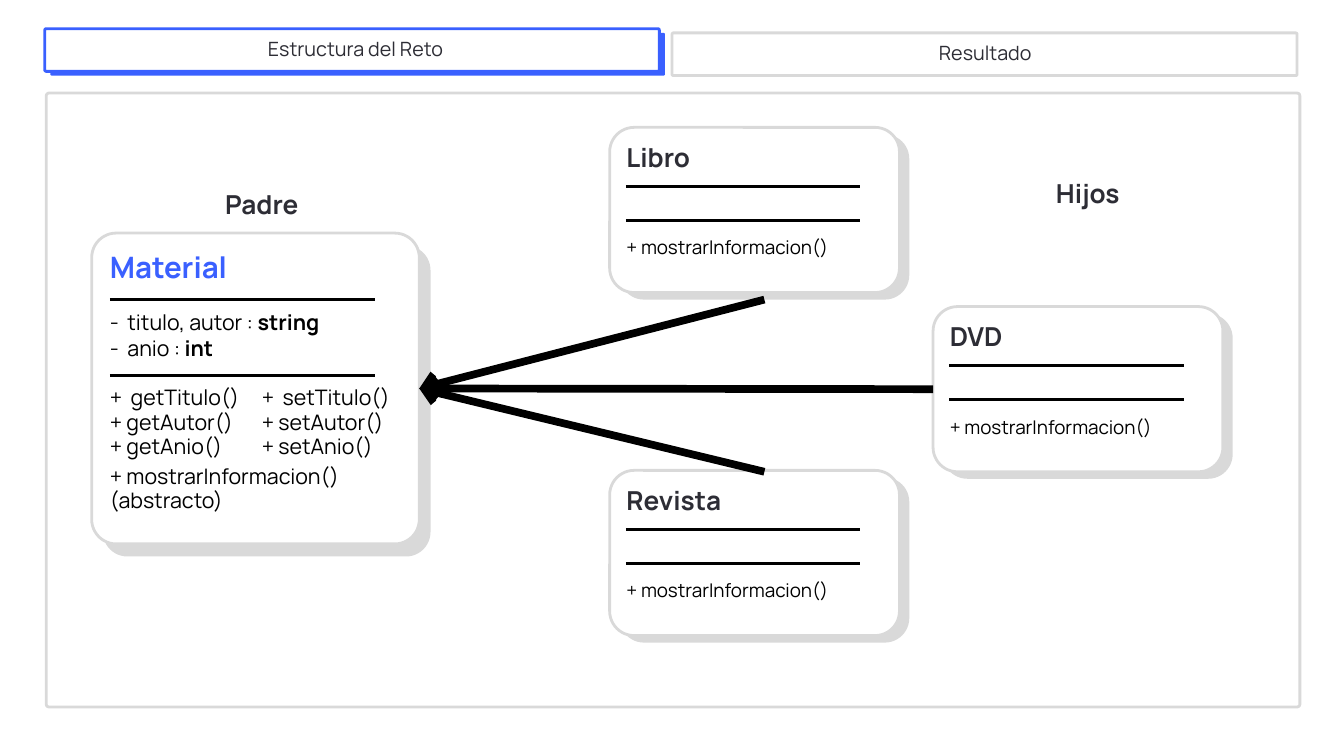
from lxml.etree import SubElement
from pptx import Presentation
from pptx.dml.color import RGBColor
from pptx.enum.shapes import MSO_CONNECTOR, MSO_SHAPE
from pptx.enum.text import MSO_ANCHOR, MSO_AUTO_SIZE, PP_ALIGN
from pptx.oxml.ns import qn
from pptx.util import Emu, Pt

PX = 9525  # EMU per px, 96 px to the inch
FONT = "Manrope"
COLORS = {"white": "FFFFFF", "grey": "D9D9D9", "blue": "3A60FF",
          "ink": "2D2D35", "black": "000000"}
TAB_SIZE, TITLE_SIZE, HEADING_SIZE, MEMBER_SIZE, METHOD_SIZE = 21.1, 31.6, 28, 22.9, 20.2


def px(n):
    return Emu(n * PX)


def rgb(name):
    return RGBColor.from_string(COLORS[name])


def add_box(s, x, y, w, h, radius, fill, line=None):
    sp = s.shapes.add_shape(MSO_SHAPE.ROUNDED_RECTANGLE, px(x), px(y), px(w), px(h))
    sp.adjustments[0] = radius / min(w, h)
    sp.shadow.inherit = False
    sp.fill.solid()
    sp.fill.fore_color.rgb = rgb(fill)
    if line:
        sp.line.color.rgb = rgb(line)
        sp.line.width = Pt(3)
    else:
        sp.line.fill.background()
    return sp


def add_raised_box(s, x, y, w, h, radius, color, dx, dy):
    """Outlined white box over a solid one moved by dx, dy; returns both."""
    back = add_box(s, x + dx, y + dy, w, h, radius, color)
    return add_box(s, x, y, w, h, radius, "white", color), back


def add_text(s, x, y, w, h, lines, size, color="black", bold=False, align=PP_ALIGN.LEFT):
    """Each line is a string, or a (plain, bold) pair of strings."""
    tf = s.shapes.add_textbox(px(x), px(y), px(w), px(h)).text_frame
    tf.word_wrap = True
    tf.auto_size = MSO_AUTO_SIZE.SHAPE_TO_FIT_TEXT
    tf.vertical_anchor = MSO_ANCHOR.TOP
    tf.margin_left = tf.margin_top = tf.margin_right = tf.margin_bottom = 0
    for i, line in enumerate(lines):
        p = tf.paragraphs[0] if i == 0 else tf.add_paragraph()
        p.alignment = align
        p.line_spacing = Pt(round(size * 1.14, 1))
        p.font.name = FONT
        p.font.size = Pt(size)
        p.font.bold = bold
        p.font.color.rgb = rgb(color)
        if isinstance(line, str):
            p.add_run().text = line
        else:
            plain, strong = line
            p.add_run().text = plain
            r = p.add_run()
            r.text = strong
            r.font.bold = True


def add_line(s, x1, y1, x2, y2, width=3):
    c = s.shapes.add_connector(MSO_CONNECTOR.STRAIGHT, px(x1), px(y1), px(x2), px(y2))
    c.line.color.rgb = rgb("black")
    c.line.width = Pt(width)
    SubElement(c._element.spPr, qn("a:effectLst"))
    return c


def add_inheritance(s, x, y, parent, child=None, side=0):
    """Thick arrow from the child (or from x, y) to the parent's right side."""
    c = add_line(s, x, y, 599, 555, 8.25)
    SubElement(c.line._get_or_add_ln(), qn("a:tailEnd"), type="arrow", w="med", len="sm")
    if child is not None:
        c.begin_connect(child, side)
    c.end_connect(parent, 3)


def add_tabs(s):
    add_raised_box(s, 64, 41, 878, 61, 2, "blue", 8, 6)
    add_box(s, 960, 47, 893, 61, 2, "white", "grey")
    for x, y, w, label in [(218, 54, 580, "Estructura del Reto"), (1026, 60, 763, "Resultado")]:
        add_text(s, x, y, w, 35, [label], TAB_SIZE, "ink", align=PP_ALIGN.CENTER)


def add_parent_class(s):
    card, _ = add_raised_box(s, 131, 333, 468, 444, 35, "grey", 16, 18)
    for y in (428, 536):
        add_line(s, 157, y, 536, y)
    add_text(s, 157, 358, 212, 52, ["Material"], TITLE_SIZE, "blue", True)
    attributes = [("-  titulo, autor : ", "string"), ("-  anio : ", "int")]
    for i, attribute in enumerate(attributes):
        add_text(s, 157, 444 + 36 * i, 324, 37, [attribute], MEMBER_SIZE)
    for x, verb in [(157, "get"), (374, "set")]:
        methods = [f"+  {verb}Titulo()", f"+ {verb}Autor()", f"+ {verb}Anio()"]
        add_text(s, x, 551, 212, 106, methods, MEMBER_SIZE)
    add_text(s, 157, 663, 390, 72, ["+ mostrarInformacion()(abstracto)"], MEMBER_SIZE)
    return card


def add_child_class(s, x, y, name):
    card, back = add_raised_box(s, x, y, 414, 236, 35, "grey", 14, 10)
    for dy in (84, 133):
        add_line(s, x + 23, y + dy, x + 358, y + dy)
    add_text(s, x + 24, y + 22, 188, 46, [name], HEADING_SIZE, "ink", True)
    add_text(s, x + 24, y + 157, 344, 33, ["+ mostrarInformacion()"], METHOD_SIZE)
    return card, back


def main():
    prs = Presentation()
    prs.slide_width, prs.slide_height = px(1920), px(1080)
    s = prs.slides.add_slide(prs.slide_layouts[6])

    add_box(s, 66, 133, 1791, 877, 4, "white", "grey")
    add_tabs(s)
    material = add_parent_class(s)
    _, libro_back = add_child_class(s, 871, 182, "Libro")
    add_child_class(s, 871, 672, "Revista")
    dvd, _ = add_child_class(s, 1333, 438, "DVD")

    add_inheritance(s, 1333, 556, material, dvd, 1)
    add_inheritance(s, 1092, 428, material, libro_back, 2)
    add_inheritance(s, 1092, 674, material)

    for x, y, label in [(280, 272, "Padre"), (1460, 255, "Hijos")]:
        add_text(s, x, y, 188, 45, [label], HEADING_SIZE, "ink", True, PP_ALIGN.CENTER)
    prs.save("out.pptx")


if __name__ == "__main__":
    main()
